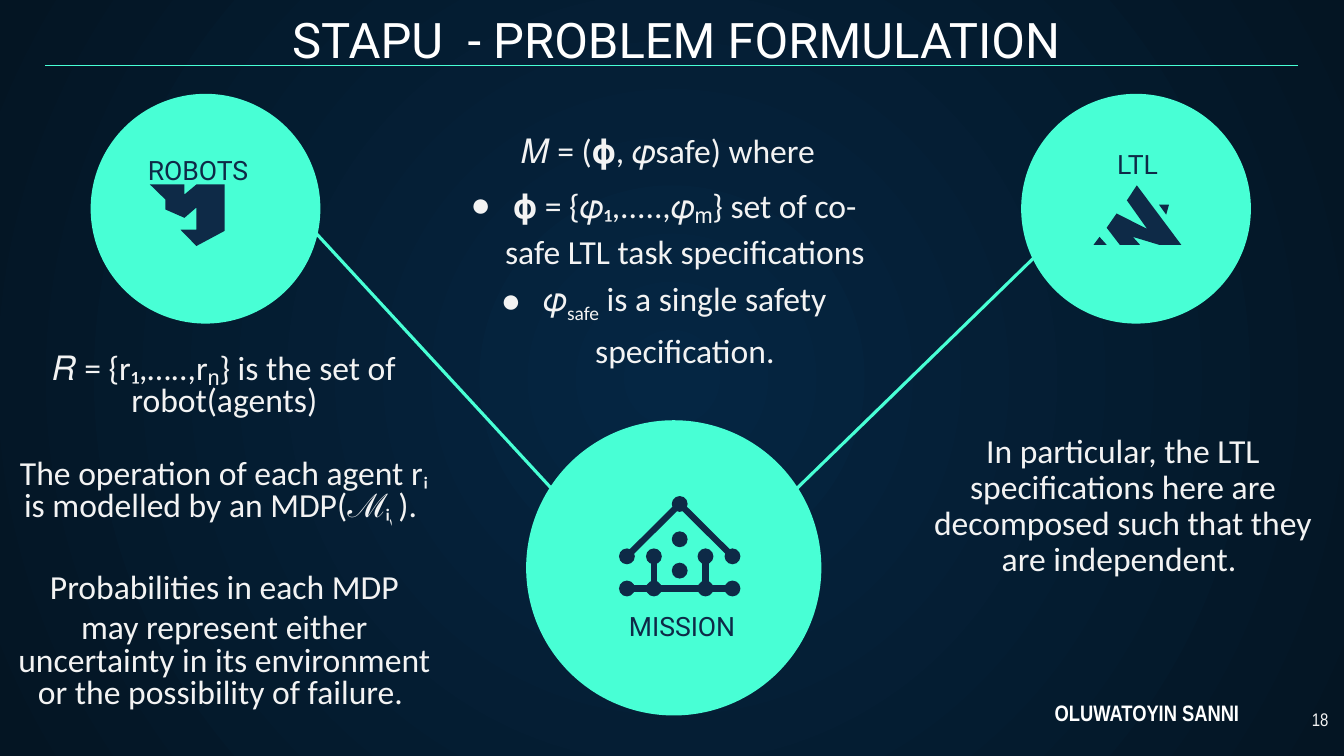
from lxml import etree
from pptx import Presentation
from pptx.dml.color import RGBColor
from pptx.enum.shapes import MSO_CONNECTOR, MSO_SHAPE
from pptx.enum.text import MSO_ANCHOR, MSO_AUTO_SIZE, PP_ALIGN
from pptx.oxml.ns import qn
from pptx.util import Cm, Pt

OVAL = MSO_SHAPE.OVAL
STRAIGHT = MSO_CONNECTOR.STRAIGHT
TOP, BOTTOM = MSO_ANCHOR.TOP, MSO_ANCHOR.BOTTOM
CENTER, RIGHT = PP_ALIGN.CENTER, PP_ALIGN.RIGHT
NO_AUTOFIT = MSO_AUTO_SIZE.NONE

MINT = RGBColor(0x48, 0xFF, 0xD5)
NAVY = RGBColor(0x0E, 0x2A, 0x47)
PALE = RGBColor(0xF3, 0xF3, 0xF3)
WHITE = RGBColor(0xFF, 0xFF, 0xFF)
GLOW = RGBColor(0x05, 0x26, 0x43)
NIGHT = RGBColor(0x04, 0x15, 0x23)

ROBOT_ICON = [(5.66, 4.65), (4.95, 4.65), (4.65, 4.9), (4.65, 4.65), (3.78, 4.65),
              (4.17, 5.03), (4.17, 5.28), (4.65, 5.49), (4.95, 5.23), (4.95, 5.79),
              (4.55, 5.79), (4.95, 6.2), (5.66, 5.82)]
LTL_ICON = [
    [(27.71, 5.97), (27.56, 6.17), (27.89, 6.17)],
    [(29.21, 5.16), (29.39, 5.41), (29.46, 5.16)],
    [(28.65, 4.67), (28.4, 5.05), (28.91, 5.77), (28.14, 5.38), (27.89, 5.74),
     (28.22, 6.17), (28.73, 6.17), (28.55, 5.97), (29.21, 6.17), (29.77, 6.17)],
]


def write(frame, text, *, size=24, font="Calibri", color=PALE, bold=False, align=CENTER,
          spacing=1.0, before=0, margin=0, indent=0, bullet=None):
    """Add a paragraph; in a list of texts every second one is a subscript."""
    first = frame.paragraphs[0]
    paragraph = frame.add_paragraph() if first.runs else first
    props = paragraph._p.get_or_add_pPr()
    props.set("marL", str(Cm(margin)))
    props.set("indent", str(Cm(indent)))
    if bullet:
        tint = etree.SubElement(props, qn("a:buClr"))
        etree.SubElement(tint, qn("a:srgbClr")).set("val", str(color))
        etree.SubElement(props, qn("a:buChar")).set("char", bullet)
    else:
        etree.SubElement(props, qn("a:buNone"))
    paragraph.alignment = align
    paragraph.line_spacing = spacing
    paragraph.space_before = Pt(before)
    for number, piece in enumerate([text] if isinstance(text, str) else text):
        run = paragraph.add_run()
        run.text = piece
        run.font.size, run.font.name, run.font.bold = Pt(size), font, bold
        run.font.color.rgb = color
        if number % 2:
            run._r.get_or_add_rPr().set("baseline", "-25000")


class Deck:
    def __init__(self):
        self.presentation = Presentation()
        self.presentation.slide_width = Cm(33.87)
        self.presentation.slide_height = Cm(19.05)
        self.slide = self.presentation.slides.add_slide(self.presentation.slide_layouts[1])
        self.shapes = self.slide.shapes

    def background(self, inner, outer):
        """Fill the slide with a gradient that spreads from its centre."""
        fill = self.slide.background.fill
        fill.gradient()
        for stop, color in zip(fill.gradient_stops, (inner, outer)):
            stop.color.rgb = color
        gradient = next(self.slide._element.iter(qn("a:gradFill")))
        gradient.remove(gradient.find(qn("a:lin")))
        radial = etree.SubElement(gradient, qn("a:path"))
        radial.set("path", "circle")
        centre = etree.SubElement(radial, qn("a:fillToRect"))
        for side in "ltrb":
            centre.set(side, "50000")

    def paint(self, shape, color):
        shape.fill.solid()
        shape.fill.fore_color.rgb = color
        shape.line.fill.background()
        shape.shadow.inherit = False

    def circle(self, x, y, diameter, color):
        """Draw a circle centred on x, y."""
        corner = Cm(x - diameter / 2), Cm(y - diameter / 2)
        self.paint(self.shapes.add_shape(OVAL, *corner, Cm(diameter), Cm(diameter)), color)

    def line(self, start, end, color, width):
        connector = self.shapes.add_connector(STRAIGHT, *map(Cm, start + end))
        connector.line.color.rgb = color
        connector.line.width = Pt(width)
        etree.SubElement(connector._element.spPr, qn("a:effectLst"))

    def outline(self, points, color):
        corners = [(Cm(x), Cm(y)) for x, y in points]
        builder = self.shapes.build_freeform(*corners[0])
        builder.add_line_segments(corners[1:], close=True)
        self.paint(builder.convert_to_shape(), color)

    def frame(self, x, y, width, height, holder=None, anchor=TOP):
        """Return the text frame of a placed placeholder or of a new text box."""
        box = holder or self.shapes.add_textbox(0, 0, 0, 0)
        box.left, box.top, box.width, box.height = map(Cm, (x, y, width, height))
        frame = box.text_frame
        frame.word_wrap = True
        frame.auto_size = NO_AUTOFIT
        frame.vertical_anchor = anchor
        frame.margin_left = frame.margin_right = Cm(0.25)
        frame.margin_top = frame.margin_bottom = Cm(0.25)
        return frame

    def mission_icon(self, x, apex, eaves, base):
        """Draw a house of dots and bars centred on x."""
        inner, outer = 0.65, 1.33
        dots = [(x, apex), (x, 13.59), (x, 14.38)]
        for side in (-1, 1):
            post, corner = x + side * inner, x + side * outer
            self.line((x, apex), (corner, eaves), NAVY, 4.5)
            self.line((post, eaves), (post, base), NAVY, 4.5)
            dots += [(column, row) for column in (post, corner) for row in (eaves, base)]
        self.line((x - outer, base), (x + outer, base), NAVY, 4.5)
        for dot in dots:
            self.circle(*dot, 0.4, NAVY)


def main():
    deck = Deck()
    deck.background(GLOW, NIGHT)

    title = deck.frame(2.46, -1.04, 29.18, 3.02, deck.shapes.title, BOTTOM)
    write(title, "STAPU  - PROBLEM FORMULATION", size=35, font="Roboto", color=WHITE, spacing=0.9)
    deck.line((1.14, 1.65), (32.72, 1.65), MINT, 0.75)

    deck.circle(5.18, 5.26, 5.79, MINT)
    deck.circle(28.63, 5.26, 5.79, MINT)
    deck.circle(16.98, 14.31, 7.44, MINT)
    deck.line((7.82, 5.72), (14, 12.42), MINT, 2.25)
    deck.line((19.02, 13.34), (26.39, 6.17), MINT, 2.25)

    deck.outline(ROBOT_ICON, NAVY)
    for part in LTL_ICON:
        deck.outline(part, NAVY)
    deck.mission_icon(17.13, apex=12.7, eaves=14.02, base=14.83)

    for label, x, y in (("ROBOTS", 1.14, 3.63), ("MISSION", 13.34, 15.11), ("LTL", 24.82, 3.48)):
        write(deck.frame(x, y, 7.7, 0.74), label, size=19, font="Roboto", color=NAVY)

    robots = deck.frame(0.13, 8.69, 11.05, 9.14)
    for text, before in (
        ("𝑅 = {r₁,…..,rₙ} is the set of robot(agents)", 0),
        ("The operation of each agent rᵢ is modelled by an MDP(ℳٖᵢ ). ", 29),
        ("Probabilities in each MDP", 35),
        ("may represent either uncertainty in its environment or the possibility of failure. ", 6),
    ):
        write(robots, text, spacing=0.8, before=before)

    mission = deck.frame(10.77, 3.23, 11.71, 6.71, deck.slide.placeholders[1])
    write(mission, "𝑀 = (𝛟, 𝜑safe) where", spacing=0.8, margin=1.27, indent=-0.84)
    for text, before in (
        ("𝛟 = {𝜑₁,.....,𝜑ₘ} set of co-safe LTL task specifications", 6),
        (["𝜑", "safe", " is a single safety specification."], 0),
    ):
        write(mission, text, spacing=1.15, before=before, margin=1.27, indent=-1.07, bullet="●")

    ltl = deck.frame(22.56, 10.69, 11.05, 5.11)
    write(ltl, "In particular, the LTL specifications here are decomposed such that they are "
          "independent. ", spacing=0.9, margin=0.43)

    write(deck.frame(31.7, 17.6, 2.03, 1.45), "18", size=13, font="Arial Narrow", align=RIGHT)
    write(deck.frame(25.3, 17.37, 7.21, 1.3), "OLUWATOYIN SANNI", size=16,
          font="Arial Narrow", color=WHITE, bold=True)

    deck.presentation.save("out.pptx")


if __name__ == "__main__":
    main()
